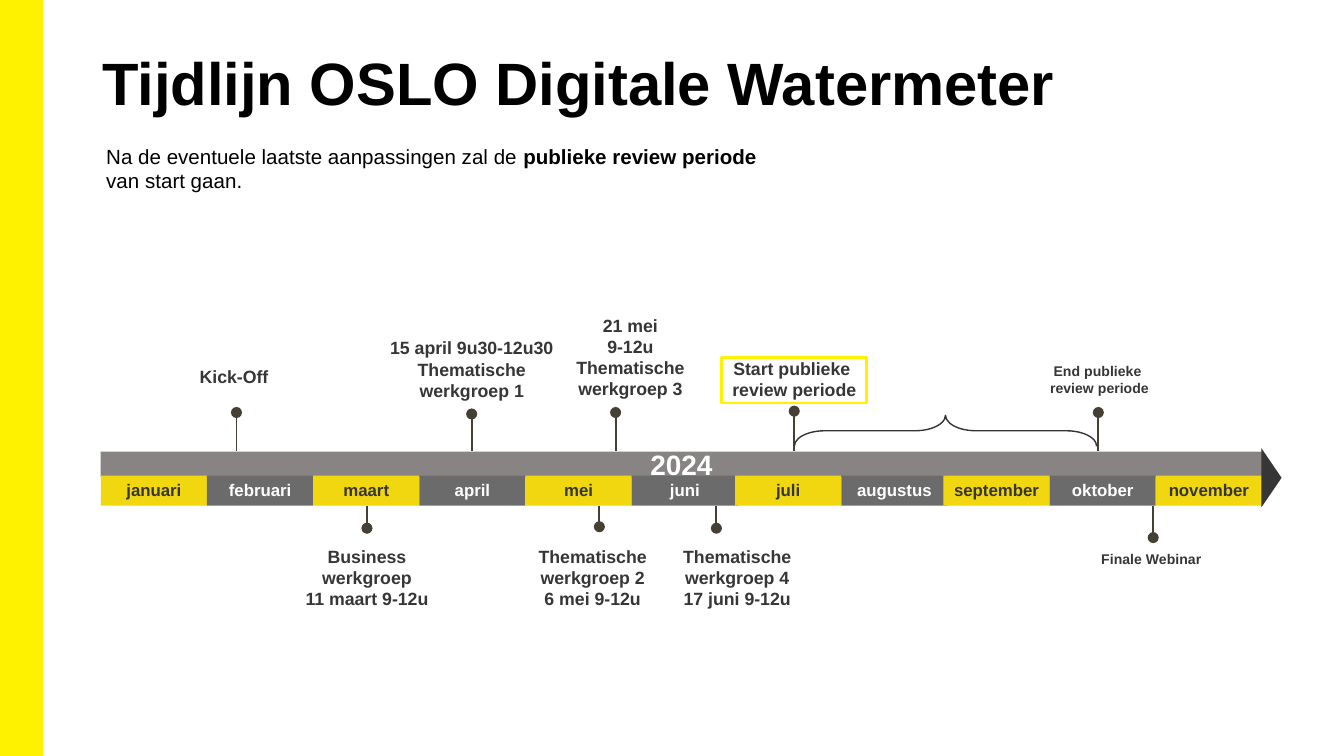
from lxml import etree
from pptx import Presentation
from pptx.dml.color import RGBColor
from pptx.enum.shapes import MSO_CONNECTOR, MSO_SHAPE
from pptx.enum.text import MSO_ANCHOR, MSO_AUTO_SIZE, PP_ALIGN
from pptx.oxml.ns import qn
from pptx.util import Pt

RECTANGLE = MSO_SHAPE.RECTANGLE
TRIANGLE = MSO_SHAPE.ISOSCELES_TRIANGLE
BRACE = MSO_SHAPE.LEFT_BRACE
STRAIGHT = MSO_CONNECTOR.STRAIGHT
TOP, MIDDLE = MSO_ANCHOR.TOP, MSO_ANCHOR.MIDDLE
LEFT, CENTER = PP_ALIGN.LEFT, PP_ALIGN.CENTER
FIXED = MSO_AUTO_SIZE.NONE

YELLOW, WHITE, DARK, MARKER = "FFF200", "FFFFFF", "373636", "454034"
MONTH_COLORS = [("F0D70F", DARK), ("6B6B6B", WHITE)]
MONTH_WIDTH = 56.88
MONTH_TOP, MONTH_HEIGHT = 254.9, 16.1
BAR_TOP = 241.9
MONTH_GROUPS = [
    (54, ["januari", "februari", "maart", "april", "mei", "juni"]),
    (393.8, ["juli", "augustus"]),
    (505.4, ["september", "oktober", "november"]),
]
MARKERS_ABOVE = [(126.7, 221), (252.7, 221.8), (329.8, 221), (425.5, 220.3), (588.4, 221)]
MARKERS_BELOW = [(196.6, 283), (321.1, 282.2), (383.8, 283), (617.8, 288)]
EVENTS = [
    ("15 april 9u30-12u30\nThematische werkgroep 1", (207.4, 180.7, 90.7, 36)),
    ("Thematische werkgroep 2\n6 mei 9-12u", (275, 292.3, 85, 41)),
    ("Business werkgroep\n11 maart 9-12u", (157.7, 292.3, 77.8, 40.3)),
    ("21 mei\n9-12u\nThematische werkgroep 3", (298.8, 168.5, 77.8, 47.5)),
    ("Thematische werkgroep 4\n17 juni 9-12u", (359.3, 292.3, 71.3, 35.3)),
]


def color(value):
    return RGBColor.from_string(value)


def write(frame, text, size=9.5, text_color=DARK, bold=True, align=CENTER,
          anchor=TOP, insets=(0, 0, 0, 0)):
    frame.word_wrap = True
    frame.auto_size = FIXED
    frame.vertical_anchor = anchor
    frame.margin_left, frame.margin_top, frame.margin_right, frame.margin_bottom = map(Pt, insets)
    for index, line in enumerate(text.split("\n")):
        paragraph = frame.add_paragraph() if index else frame.paragraphs[0]
        paragraph.alignment = align
        paragraph.line_spacing = 1.0
        paragraph.space_before = Pt(0)
        for part_index, part in enumerate(line.split("**")):
            run = paragraph.add_run()
            run.text = part
            run.font.name = "Arial"
            run.font.size = Pt(size)
            run.font.bold = bold or part_index % 2 == 1
            run.font.color.rgb = color(text_color)


class TimelineSlide:
    def __init__(self, presentation):
        self.slide = presentation.slides.add_slide(presentation.slide_layouts[1])
        self.shapes = self.slide.shapes

    def placeholder(self, index, text, box, **text_format):
        shape = self.slide.placeholders[index]
        shape.left, shape.top, shape.width, shape.height = map(Pt, box)
        write(shape.text_frame, text, text_color="000000", align=LEFT, **text_format)
        for paragraph in shape.text_frame.paragraphs:
            properties = paragraph._p.get_or_add_pPr()
            properties.set("marL", "0")
            properties.set("indent", "0")
            etree.SubElement(properties, qn("a:buNone"))

    def shape(self, kind, box, fill=None, line=None, width=1, rotation=0):
        shape = self.shapes.add_shape(kind, *map(Pt, box))
        shape.shadow.inherit = False
        shape.rotation = rotation
        if fill:
            shape.fill.solid()
            shape.fill.fore_color.rgb = color(fill)
        else:
            shape.fill.background()
        if line:
            shape.line.color.rgb = color(line)
            shape.line.width = Pt(width)
        else:
            shape.line.fill.background()
        return shape

    def box(self, text, box, fill=None, line=None, width=1, **text_format):
        shape = self.shape(RECTANGLE, box, fill, line, width)
        write(shape.text_frame, text, **text_format)

    def label(self, text, box, **text_format):
        shape = self.shapes.add_textbox(*map(Pt, box))
        write(shape.text_frame, text, **text_format)

    def pin(self, x, dot_y, bar_y):
        connector = self.shapes.add_connector(STRAIGHT, Pt(x), Pt(dot_y), Pt(x), Pt(bar_y))
        connector.line.color.rgb = color(MARKER)
        connector.line.width = Pt(1)
        etree.SubElement(connector.line._get_or_add_ln(), qn("a:headEnd"), type="oval")
        etree.SubElement(connector._element.spPr, qn("a:effectLst"))

    def months(self):
        index = 0
        for start, names in MONTH_GROUPS:
            for position, name in enumerate(names):
                fill, text_color = MONTH_COLORS[index % 2]
                left = start + position * MONTH_WIDTH
                self.box(name, (left, MONTH_TOP, MONTH_WIDTH, MONTH_HEIGHT), fill, size=9,
                         text_color=text_color, anchor=MIDDLE, insets=(2, 5.8, 2, 7.2))
                index += 1


def main():
    presentation = Presentation()
    presentation.slide_width, presentation.slide_height = Pt(720), Pt(405)
    timeline = TimelineSlide(presentation)

    timeline.shape(RECTANGLE, (0, 0, 22.3, 405), YELLOW, YELLOW)
    timeline.placeholder(0, "Tijdlijn OSLO Digitale Watermeter", (49.7, 21.6, 620.6, 58.3),
                         size=32, insets=(5, 2.8, 5, 3))
    timeline.placeholder(
        1, "Na de eventuele laatste aanpassingen zal de **publieke review periode** van start gaan.",
        (49.7, 69.8, 376.6, 43.2), size=11, bold=False, insets=(7.2, 7.2, 7.2, 7.2))

    for x, dot_y in MARKERS_ABOVE:
        timeline.pin(x, dot_y, BAR_TOP)
    for x, dot_y in MARKERS_BELOW:
        timeline.pin(x, dot_y, MONTH_TOP + MONTH_HEIGHT)

    brace = timeline.shape(BRACE, (498.2, 149.8, 16.6, 162), line="353333", width=0.75, rotation=90)
    brace.adjustments[0], brace.adjustments[1] = 0.98, 0.5

    timeline.box("2024", (54, BAR_TOP, 622.1, 13.7), "888484", size=15, text_color=WHITE,
                 anchor=MIDDLE, insets=(7.2, 3.6, 7.2, 3.6))
    timeline.months()
    timeline.shape(TRIANGLE, (665.3, 250.6, 31.7, 10.8), DARK, rotation=90)

    for text, box in EVENTS:
        timeline.box(text, box, WHITE, WHITE, 2)
    timeline.box("Start publieke \nreview periode", (386.6, 191.5, 77.8, 24.5),
                 line=YELLOW, width=1.5)
    timeline.label("Kick-Off ", (87.8, 195.8, 77.8, 26.6))
    timeline.label("End publieke \nreview periode", (550.1, 194.4, 77.8, 26.6), size=7.5)
    timeline.label("Finale Webinar ", (578.9, 295.2, 77.8, 26.6), size=7.5)

    presentation.save("out.pptx")


if __name__ == "__main__":
    main()
